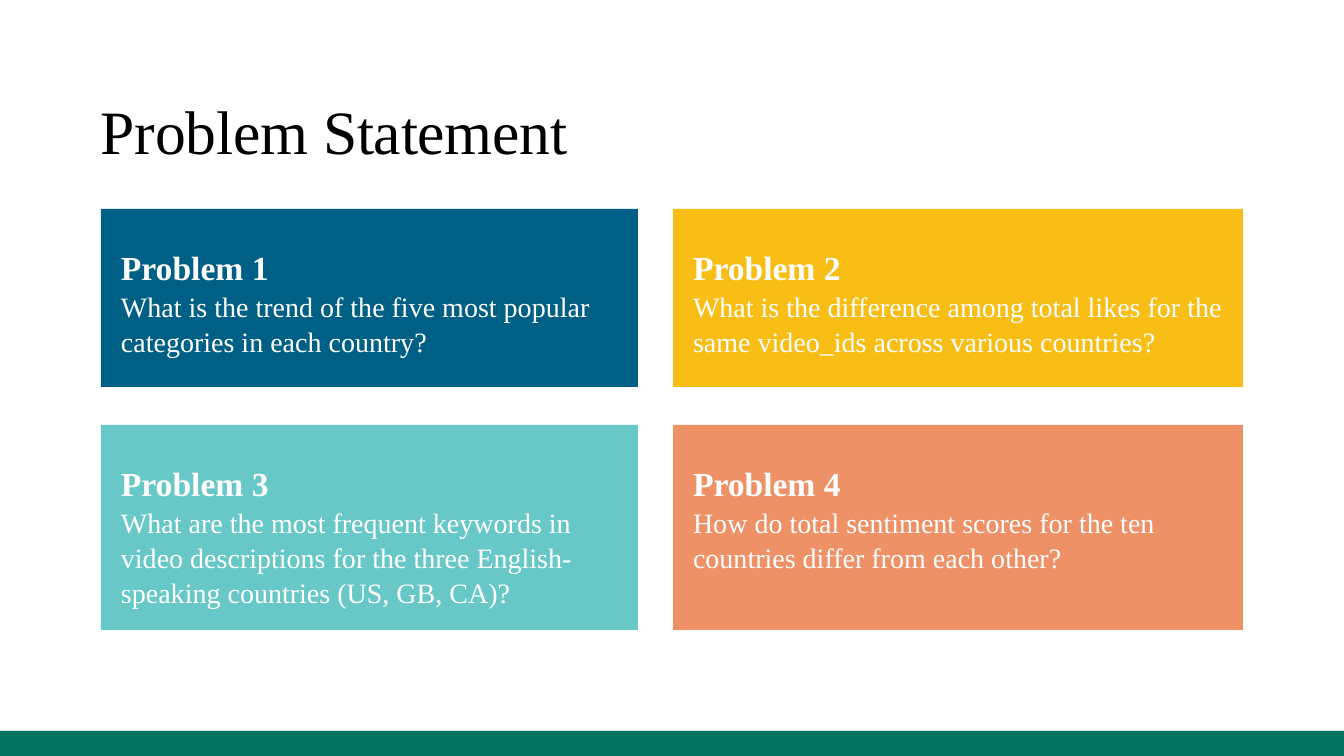
from dataclasses import dataclass

from pptx import Presentation
from pptx.dml.color import RGBColor
from pptx.enum.shapes import MSO_SHAPE
from pptx.enum.text import MSO_ANCHOR, PP_ALIGN
from pptx.util import Pt

TITLE = "Problem Statement"
CARDS = [
    ("Problem 1", "What is the trend of the five most popular categories in each country?", "005F85"),
    ("Problem 2", "What is the difference among total likes for the same video_ids across various countries?", "F8BE15"),
    ("Problem 3", "What are the most frequent keywords in video descriptions for the three English-speaking countries (US, GB, CA)?", "67C8C7"),
    ("Problem 4", "How do total sentiment scores for the ten countries differ from each other?", "EE9166"),
]
COLS = [(101, 537), (673, 570)]  # left, width
ROWS = [(209, 178), (425, 205)]  # top, height
WIDE, HIGH, BAR = 1344, 756, 25


@dataclass(frozen=True)
class Theme:
    font: str = "Times New Roman"
    ink: str = "000000"
    light: str = "FFFFFF"
    bar: str = "007360"
    title: int = 44
    head: int = 24
    body: int = 20


theme = Theme()


def px(num):
    return round(num * 914400 / 100.8)


def add_box(slide, box, fill):
    shape = slide.shapes.add_shape(MSO_SHAPE.RECTANGLE, *map(px, box))
    shape.shadow.inherit = False
    shape.fill.solid()
    shape.fill.fore_color.rgb = RGBColor.from_string(fill)
    shape.line.fill.background()
    return shape


def set_frame(frame, pads, anchor):
    """Wrap the text and set its insets: left, top, right, bottom."""
    frame.word_wrap = True
    frame.vertical_anchor = anchor
    (frame.margin_left, frame.margin_top,
     frame.margin_right, frame.margin_bottom) = map(px, pads)


def add_run(para, text, size, color, bold=False):
    para.alignment = PP_ALIGN.LEFT
    run = para.add_run()
    run.text = text
    font = run.font
    font.name, font.size, font.bold = theme.font, Pt(size), bold
    font.color.rgb = RGBColor.from_string(color)
    return run


def add_title(slide):
    frame = slide.shapes.add_textbox(*map(px, (101, 0, 1142, 167))).text_frame
    set_frame(frame, (0, 0, 0, 0), MSO_ANCHOR.BOTTOM)
    para = frame.paragraphs[0]
    para.space_after = Pt(12)
    run = add_run(para, TITLE, theme.title, theme.ink)
    run._r.get_or_add_rPr().set("spc", "-20")


def add_card(slide, box, head, body, fill):
    frame = add_box(slide, box, fill).text_frame
    set_frame(frame, (20, 18, 15, 15), MSO_ANCHOR.TOP)
    para = frame.paragraphs[0]
    para.line_spacing = 1.5
    add_run(para, head, theme.head, theme.light, True)
    para = frame.add_paragraph()
    para.line_spacing = 1.05
    add_run(para, body, theme.body, theme.light)


def main():
    deck = Presentation()
    deck.slide_width, deck.slide_height = px(WIDE), px(HIGH)
    slide = deck.slides.add_slide(deck.slide_layouts[6])
    add_box(slide, (0, HIGH - BAR, WIDE, BAR), theme.bar)
    add_title(slide)
    for num, card in enumerate(CARDS):
        row, col = divmod(num, 2)
        left, width = COLS[col]
        top, height = ROWS[row]
        add_card(slide, (left, top, width, height), *card)
    deck.save("out.pptx")


if __name__ == "__main__":
    main()
